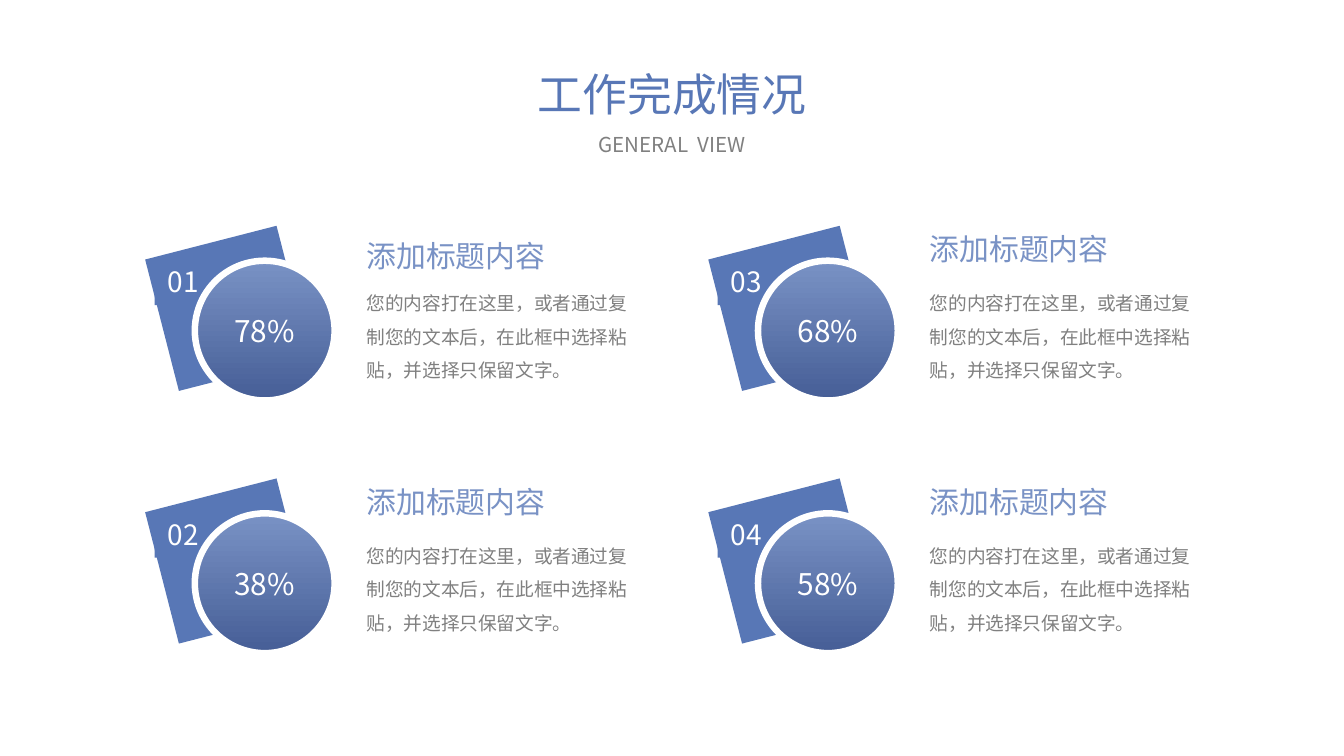
"""Build a slide showing the completion rate of four tasks."""
from dataclasses import dataclass

from lxml.etree import SubElement as Sub
from pptx import Presentation
from pptx.dml.color import RGBColor as Rgb
from pptx.enum.shapes import MSO_SHAPE as Kind
from pptx.enum.text import MSO_ANCHOR as Anchor, MSO_AUTO_SIZE as Fit, PP_ALIGN as Align
from pptx.oxml.ns import qn
from pptx.util import Inches, Pt

TITLE = "工作完成情况"
SUB = "GENERAL  VIEW"
HEAD = "添加标题内容"
BODY = "您的内容打在这里，或者通过复制您的文本后，在此框中选择粘贴，并选择只保留文字。"
CARDS = [
    ("01", "78%", 0, 0, 0.05),
    ("02", "38%", 0, 1, 0),
    ("03", "68%", 1, 0, 0),
    ("04", "58%", 1, 1, 0),
]


@dataclass(frozen=True)
class Theme:
    """Hold the colours, font and type sizes."""
    face: str = "Noto Sans CJK SC"
    blue: str = "5877B6"
    light: str = "7992C5"
    dark: str = "465E96"
    grey: str = "808080"
    white: str = "FFFFFF"
    title: int = 24
    sub: int = 11
    head: int = 16
    body: int = 10
    num: int = 15
    rate: int = 16


LOOK = Theme()
WIDE = 10
HIGH = WIDE * 9 / 16
LEFT, TOP = 1.15, 1.7
COL, ROW = 4.19, 1.88
SQUARE, DISC, TILT = 1.01, 1.04, -14.4


def paint(fill, *stops):
    """Fill with one colour, or with a downward gradient of (share, colour) stops."""
    if len(stops) == 1:
        fill.solid()
        fill.fore_color.rgb = Rgb.from_string(stops[0])
        return
    fill.gradient()
    fill.gradient_angle = 270
    for stop, (share, tint) in zip(fill.gradient_stops, stops):
        stop.position = share
        stop.color.rgb = Rgb.from_string(tint)


def write(shape, text, size, *tint, align=Align.LEFT, grow=True, wrap=True):
    """Put one styled paragraph in a shape and return the paragraph."""
    frame = shape.text_frame
    frame.word_wrap = wrap
    frame.auto_size = Fit.SHAPE_TO_FIT_TEXT if grow else Fit.NONE
    para = frame.paragraphs[0]
    para.text = text
    para.alignment = align
    font = para.font
    font.size = Pt(size)
    paint(font.fill, *tint)
    font.name = LOOK.face
    Sub(para._p.pPr.find(qn("a:defRPr")), qn("a:ea"), typeface=LOOK.face)
    return para


def form(home, kind, box, *tint):
    """Add a filled preset shape without line or shadow."""
    shape = home.add_shape(kind, *map(Inches, box))
    shape.shadow.inherit = False
    paint(shape.fill, *tint)
    shape.line.fill.background()
    return shape


def label(home, box, *args, **opts):
    """Add a text box and return its paragraph."""
    return write(home.add_textbox(*map(Inches, box)), *args, **opts)


def card(home, num, rate, col, row, drop):
    """Draw one task: tilted square, number, rate disc and text."""
    x, y = LEFT + col * COL, TOP + row * ROW
    fade = (0, LOOK.light), (1, LOOK.dark)

    group = home.add_group_shape().shapes
    square = form(group, Kind.RECTANGLE, (x + 0.04, y + 0.09, SQUARE, SQUARE), LOOK.blue)
    square.rotation = TILT
    tag = form(group, Kind.RECTANGLE, (x, y + 0.22, 0.46, 0.35), LOOK.blue)
    write(tag, num, LOOK.num, LOOK.white, wrap=False)
    tag.text_frame.vertical_anchor = Anchor.TOP

    disc = form(home, Kind.FLOWCHART_CONNECTOR, (x + 0.3, y + 0.24, DISC, DISC), *fade)
    paint(disc.line.fill, LOOK.white)
    disc.line.width = Pt(3.5)
    write(disc, rate, LOOK.rate, LOOK.white, align=Align.CENTER, grow=False)
    disc.text_frame.vertical_anchor = Anchor.MIDDLE

    head = label(home, (x + 1.48, y + drop, 2.03, 0.35), HEAD, LOOK.head,
                 (0, LOOK.light), (0.72, LOOK.dark), grow=False)
    head.line_spacing = 0.9
    head.space_before = Pt(16)
    body = label(home, (x + 1.48, y + 0.34, 2.25, 0.86), BODY, LOOK.body, LOOK.grey)
    body.line_spacing = 1.5


def main():
    """Build and save the slide."""
    deck = Presentation()
    deck.slide_width, deck.slide_height = Inches(WIDE), Inches(HIGH)
    home = deck.slides.add_slide(deck.slide_layouts[6]).shapes
    for item in CARDS:
        card(home, *item)
    group = home.add_group_shape().shapes
    label(group, ((WIDE - 2.59) / 2, 0.45, 2.59, 0.5), TITLE, LOOK.title,
          (0, LOOK.blue), (1, LOOK.dark), align=Align.CENTER)
    label(group, ((WIDE - 2.03) / 2, 0.93, 2.03, 0.29), SUB, LOOK.sub,
          LOOK.grey, align=Align.CENTER)
    deck.save("out.pptx")


if __name__ == "__main__":
    main()
